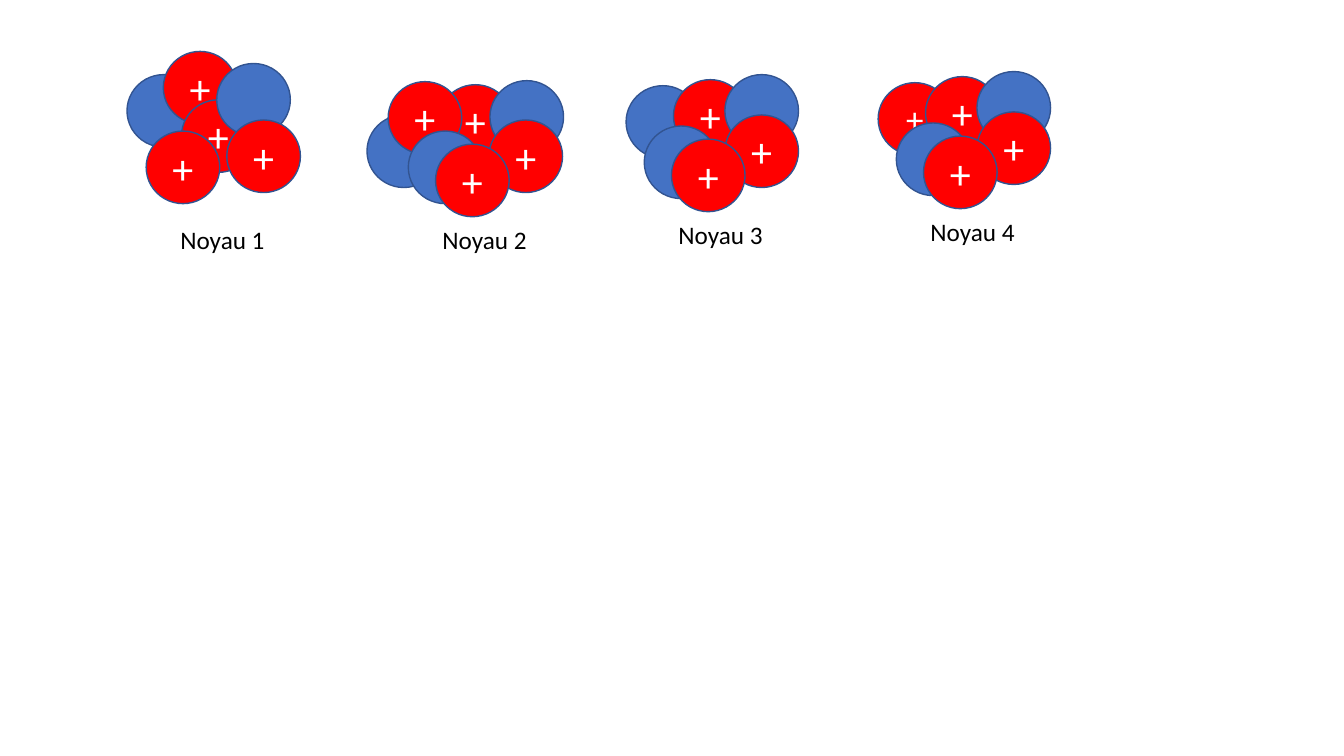
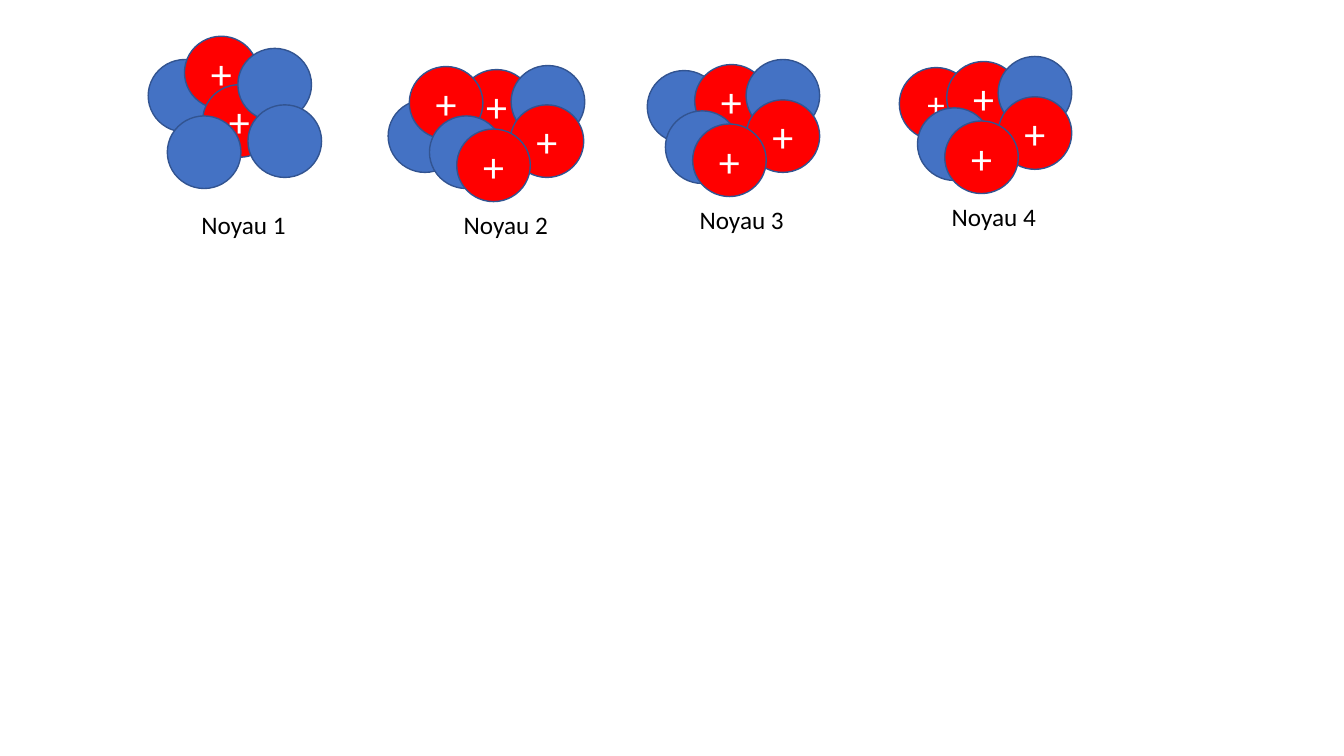
"""Build two slides that each show four atomic nuclei made of protons and neutrons."""
from dataclasses import dataclass

from pptx import Presentation
from pptx.dml.color import RGBColor
from pptx.enum.shapes import MSO_SHAPE as Preset
from pptx.enum.text import MSO_ANCHOR as Anchor, MSO_AUTO_SIZE as AutoSize, PP_ALIGN as Align
from pptx.util import Inches, Pt

FONT = "Calibri"
BLACK = RGBColor(0x00, 0x00, 0x00)
WHITE = RGBColor(0xFF, 0xFF, 0xFF)
PROTON_RED = RGBColor(0xFF, 0x00, 0x00)
NEUTRON_BLUE = RGBColor(0x44, 0x72, 0xC4)
OUTLINE = RGBColor(0x32, 0x54, 0x91)

PARTICLE_WIDTH, PARTICLE_HEIGHT = 0.73, 0.72
LABEL_WIDTH, LABEL_HEIGHT = 1.13, 0.4


@dataclass(frozen=True)
class Particle:
    dx: float
    dy: float
    charge_size: int = 0


@dataclass(frozen=True)
class Nucleus:
    name: str
    left: float
    top: float
    particles: tuple[Particle, ...]


def proton(dx: float, dy: float, size: int = 30) -> Particle:
    return Particle(dx, dy, size)


def neutron(dx: float, dy: float) -> Particle:
    return Particle(dx, dy)


CORE = (neutron(-0.43, -1.44), proton(-0.07, -1.67), proton(0.11, -1.19), neutron(0.46, -1.55))
FRONT = (proton(0.56, -0.99), neutron(-0.24, -0.88), proton(0.03, -0.75))
BACK = (proton(0.05, -1.34), neutron(0.56, -1.39))

FOUR_PROTONS = CORE + (proton(0.56, -0.99), proton(-0.24, -0.88))
TWO_PROTONS = CORE + (neutron(0.56, -0.99), neutron(-0.24, -0.88))

SHARED_NUCLEI = (
    Nucleus("Noyau 2", 4.29, 2.18,
            (neutron(-0.65, -1.04), proton(0.06, -1.34), proton(-0.44, -1.37),
             neutron(0.57, -1.38)) + FRONT),
    Nucleus("Noyau 3", 6.63, 2.13, (neutron(-0.42, -1.28),) + BACK + FRONT),
    Nucleus("Noyau 4", 9.13, 2.1, (proton(-0.42, -1.28, 25),) + BACK + FRONT),
)


def write_text(shape, text: str, *, size: int, color: RGBColor,
               align: Align = Align.LEFT, anchor: Anchor = Anchor.TOP) -> None:
    frame = shape.text_frame
    frame.word_wrap = True
    frame.vertical_anchor = anchor
    para = frame.paragraphs[0]
    para.alignment = align
    span = para.add_run()
    span.text = text
    span.font.name = FONT
    span.font.size = Pt(size)
    span.font.color.rgb = color


def draw_particle(page, particle: Particle, left: float, top: float) -> None:
    circle = page.shapes.add_shape(
        Preset.OVAL, Inches(left + particle.dx), Inches(top + particle.dy),
        Inches(PARTICLE_WIDTH), Inches(PARTICLE_HEIGHT))
    circle.shadow.inherit = False
    circle.fill.solid()
    circle.fill.fore_color.rgb = PROTON_RED if particle.charge_size else NEUTRON_BLUE
    circle.line.color.rgb = OUTLINE
    circle.line.width = Pt(1)
    if particle.charge_size:
        write_text(circle, "+", size=particle.charge_size, color=WHITE,
                   align=Align.CENTER, anchor=Anchor.MIDDLE)


def draw_nucleus(page, nucleus: Nucleus, shift_x: float, shift_y: float) -> None:
    left, top = nucleus.left + shift_x, nucleus.top + shift_y
    for particle in nucleus.particles:
        draw_particle(page, particle, left, top)
    box = page.shapes.add_textbox(
        Inches(left), Inches(top), Inches(LABEL_WIDTH), Inches(LABEL_HEIGHT))
    write_text(box, nucleus.name, size=18, color=BLACK)
    box.text_frame.auto_size = AutoSize.SHAPE_TO_FIT_TEXT


def add_page(deck, first_particles: tuple[Particle, ...],
             shift_x: float = 0, shift_y: float = 0) -> None:
    page = deck.slides.add_slide(deck.slide_layouts[6])
    first = Nucleus("Noyau 1", 1.69, 2.18, first_particles)
    for nucleus in (first, *SHARED_NUCLEI):
        draw_nucleus(page, nucleus, shift_x, shift_y)


def main() -> None:
    deck = Presentation()
    deck.slide_width, deck.slide_height = Inches(13.33), Inches(7.5)
    add_page(deck, FOUR_PROTONS)
    add_page(deck, TWO_PROTONS, shift_x=0.21, shift_y=-0.15)
    deck.save("out.pptx")


if __name__ == "__main__":
    main()
